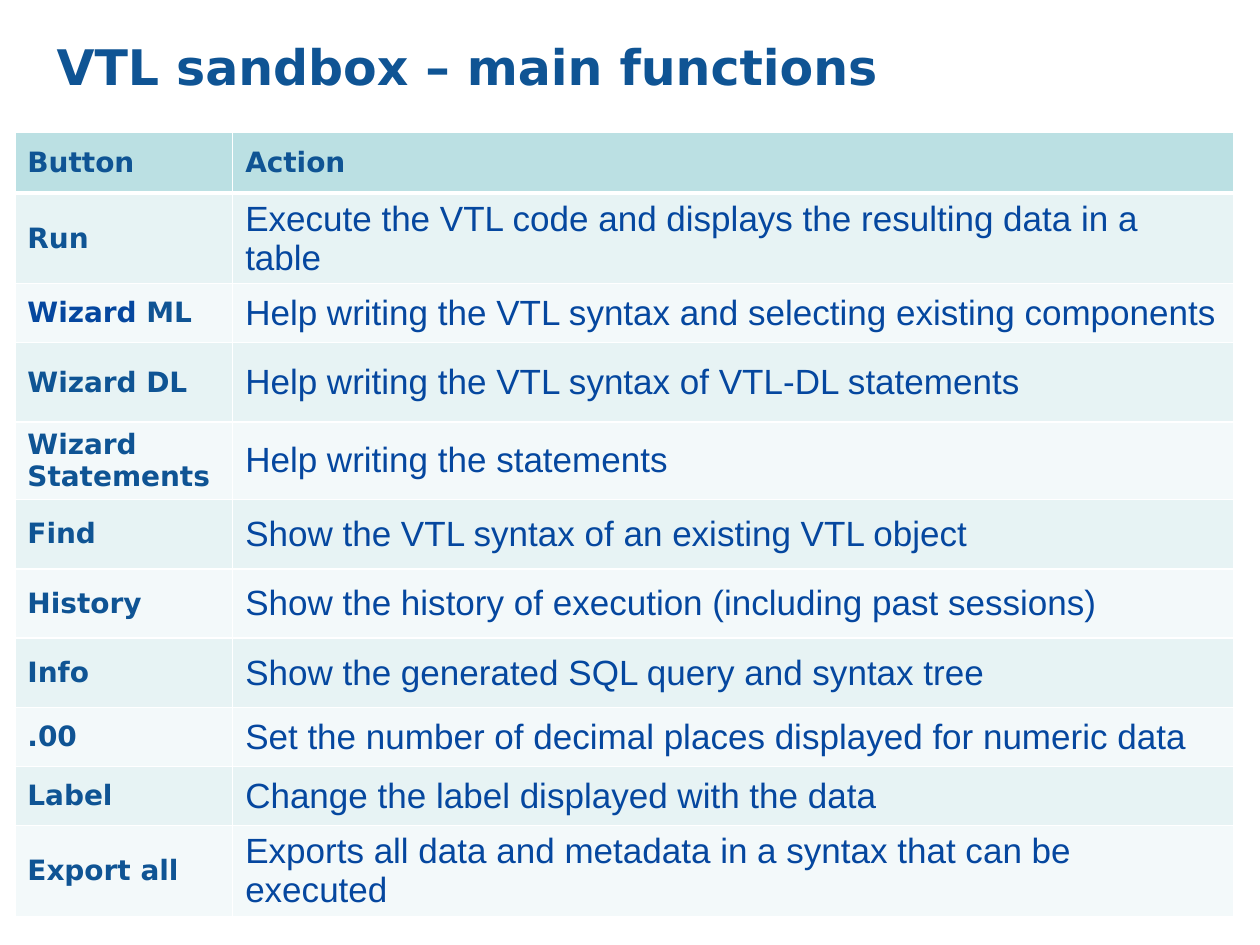
from lxml import etree
from pptx import Presentation
from pptx import util as u
from pptx.dml.color import RGBColor
from pptx.enum import text
from pptx.oxml import ns

TITLE_BLUE = RGBColor(0x0F, 0x54, 0x94)
ACTION_BLUE = RGBColor(0x05, 0x47, 0x9F)
HEADER_TEAL = RGBColor(0xBB, 0xE0, 0xE3)
BANDS = (RGBColor(0xE7, 0xF3, 0xF4), RGBColor(0xF3, 0xF9, 0xFA))
WHITE = RGBColor(0xFF, 0xFF, 0xFF)

LABEL = dict(size=16, font="DejaVu Sans", color=TITLE_BLUE, bold=True)
ACTION = dict(size=20, font="Arial", color=ACTION_BLUE, bold=False)

COLUMN_WIDTHS = (4.39, 20.19)
HEADER_HEIGHT = 1.22
# Button runs with their colours, action, row height in cm
FUNCTIONS = [
    ("Run", "Execute the VTL code and displays the resulting data in a table", 1.24),
    ("Wizard ML", "Help writing the VTL syntax and selecting existing components", 1.19),
    ("Wizard DL", "Help writing the VTL syntax of VTL-DL statements", 1.6),
    ("Wizard Statements", "Help writing the statements", 1.04),
    ("Find", "Show the VTL syntax of an existing VTL object", 1.4),
    ("History", "Show the history of execution (including past sessions)", 1.4),
    ("Info", "Show the generated SQL query and syntax tree", 1.4),
    (".00", "Set the number of decimal places displayed for numeric data", 1.19),
    ("Label", "Change the label displayed with the data", 1.19),
    ("Export all", "Exports all data and metadata in a syntax that can be executed", 1.04),
]


def add_run(paragraph, words, *, size, font, color, bold):
    run = paragraph.add_run()
    run.text = words
    run.font.size = u.Pt(size)
    run.font.name = font
    run.font.color.rgb = color
    run.font.bold = bold
    return run


def set_borders(cell, **widths):
    """Draw white borders; widths are points for the sides L, R, T and B."""
    properties = cell._tc.get_or_add_tcPr()
    for position, side in enumerate("LRTB"):
        line = etree.Element(ns.qn(f"a:ln{side}"), w=str(u.Pt(widths.get(side, 1))))
        fill = etree.SubElement(line, ns.qn("a:solidFill"))
        etree.SubElement(fill, ns.qn("a:srgbClr"), val=str(WHITE))
        properties.insert(position, line)


class FunctionSlide:
    def __init__(self, presentation):
        self.slide = presentation.slides.add_slide(presentation.slide_layouts[5])

    def title(self, words, left, top, width, height):
        title = self.slide.shapes.title
        title.left, title.top = u.Cm(left), u.Cm(top)
        title.width, title.height = u.Cm(width), u.Cm(height)
        frame = title.text_frame
        frame.vertical_anchor = text.MSO_ANCHOR.MIDDLE
        heading = frame.paragraphs[0]
        heading.alignment = text.PP_ALIGN.LEFT
        indent = u.Cm(1)
        properties = heading._p.get_or_add_pPr()
        properties.set("marL", str(indent))
        properties.set("indent", str(-indent))
        add_run(heading, words, **{**LABEL, "size": 28})

    def cell(self, cell, words, fill, space_before, style):
        cell.vertical_anchor = text.MSO_ANCHOR.MIDDLE
        cell.fill.solid()
        cell.fill.fore_color.rgb = fill
        paragraph = cell.text_frame.paragraphs[0]
        paragraph.space_before = u.Pt(space_before)
        return add_run(paragraph, words, **style)

    def function_table(self, left, top):
        heights = [HEADER_HEIGHT] + [height for _, _, height in FUNCTIONS]
        table = self.slide.shapes.add_table(
            len(heights), len(COLUMN_WIDTHS), u.Cm(left), u.Cm(top),
            u.Cm(sum(COLUMN_WIDTHS)), u.Cm(sum(heights))).table
        table.first_col = True
        for column, width in zip(table.columns, COLUMN_WIDTHS):
            column.width = u.Cm(width)
        for row, height in zip(table.rows, heights):
            row.height = u.Cm(height)

        for column, heading in enumerate(("Button", "Action")):
            self.cell(table.cell(0, column), heading, HEADER_TEAL, 12, LABEL)
            set_borders(table.cell(0, column), B=3)

        for row, (button, action, _) in enumerate(FUNCTIONS, start=1):
            band = BANDS[(row - 1) % 2]
            button_cell, action_cell = table.cell(row, 0), table.cell(row, 1)
            if button == "Wizard ML":
                self.cell(button_cell, "Wizard", band, 12, {**LABEL, "color": ACTION_BLUE})
                add_run(button_cell.text_frame.paragraphs[0], " ML", **LABEL)
            else:
                self.cell(button_cell, button, band, 12, LABEL)
            self.cell(action_cell, action, band, 18, ACTION)
            for cell in (button_cell, action_cell):
                set_borders(cell, T=3 if row == 1 else 1)


def main():
    presentation = Presentation()
    presentation.slide_width, presentation.slide_height = u.Cm(25.4), u.Cm(19.05)
    sandbox = FunctionSlide(presentation)
    sandbox.title("VTL sandbox – main functions", 0.89, 0.33, 22.86, 2)
    sandbox.function_table(0.3, 2.67)
    presentation.save("out.pptx")


if __name__ == "__main__":
    main()
